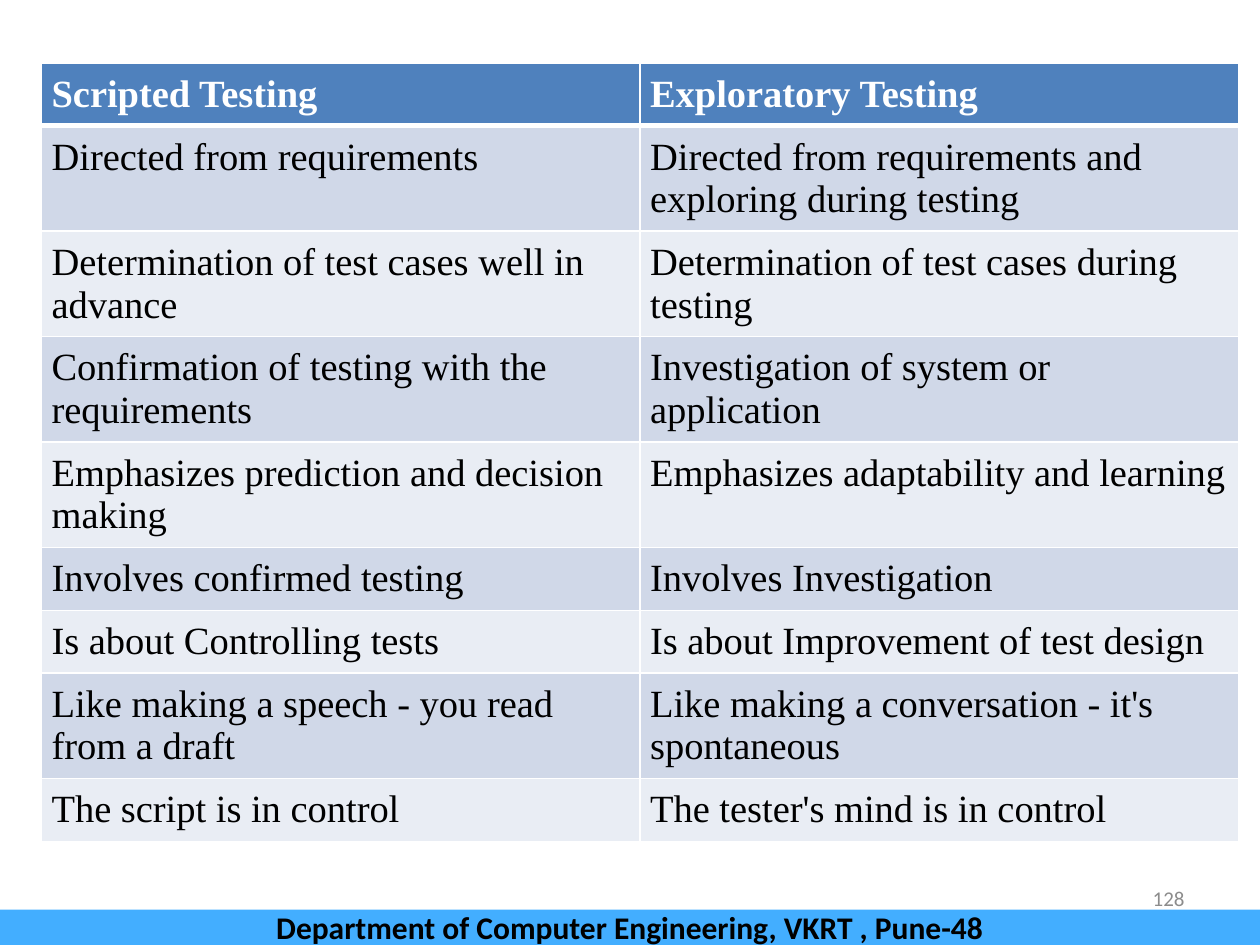
from pptx import Presentation
from pptx.dml.color import RGBColor
from pptx.enum import shapes, text
from pptx.oxml import parse_xml
from pptx.oxml.ns import nsdecls
from pptx.util import Inches, Pt

theme = {
    "head": "4F81BD", "odd": "D0D8E8", "even": "E9EDF4", "bar": "43AEFF",
    "white": "FFFFFF", "black": "000000", "gray": "8C8C8C",
    "serif": "Times New Roman", "sans": "Calibri",
    "cell": 22, "foot": 18, "page": 12,
}


def write(frame, words, font, size, color, bold=False):
    """Put one styled paragraph in a text frame and return it."""
    frame.text = words
    frame.word_wrap = True
    para = frame.paragraphs[0]
    face = para.runs[0].font
    face.name, face.size, face.bold = theme[font], Pt(theme[size]), bold
    face.color.rgb = RGBColor.from_string(theme[color])
    return para


def edge(cell, low):
    """Draw white cell borders, the bottom one with its own width."""
    props = cell._tc.get_or_add_tcPr()
    for spot, (side, width) in enumerate(zip("LRTB", (1, 1, 1, low))):
        props.insert(spot, parse_xml(
            f'<a:ln{side} {nsdecls("a")} w="{Pt(width)}"><a:solidFill>'
            f'<a:srgbClr val="{theme["white"]}"/></a:solidFill></a:ln{side}>'))


rows = [
    ("Scripted Testing", "Exploratory Testing"),
    ("Directed from requirements",
     "Directed from requirements and exploring during testing"),
    ("Determination of test cases well in advance",
     "Determination of test cases during testing"),
    ("Confirmation of testing with the requirements",
     "Investigation of system or application"),
    ("Emphasizes prediction and decision making",
     "Emphasizes adaptability and learning"),
    ("Involves confirmed testing", "Involves Investigation"),
    ("Is about Controlling tests", "Is about Improvement of test design"),
    ("Like making a speech - you read from a draft",
     "Like making a conversation - it's spontaneous"),
    ("The script is in control", "The tester's mind is in control"),
]

deck = Presentation()
deck.slide_width, deck.slide_height = Inches(10), Inches(7.5)
slide = deck.slides.add_slide(deck.slide_layouts[6])

# Comparison table
grid = slide.shapes.add_table(
    len(rows), 2, Inches(0.33), Inches(0.5),
    Inches(9.5), Inches(0.41 * len(rows))).table
for r, row in enumerate(rows):
    head = r == 0
    tone = "head" if head else "odd" if r % 2 else "even"
    for c, words in enumerate(row):
        cell = grid.cell(r, c)
        cell.margin_left = cell.margin_right = Inches(0.08)
        cell.margin_top = cell.margin_bottom = Inches(0.08)
        cell.fill.solid()
        cell.fill.fore_color.rgb = RGBColor.from_string(theme[tone])
        edge(cell, 3 if head else 1)
        write(cell.text_frame, words, "serif", "cell",
              "white" if head else "black", head)

# Page number
page = slide.shapes.add_textbox(
    Inches(7.17), Inches(6.95), Inches(2.33), Inches(0.4)).text_frame
para = write(page, "128", "sans", "page", "gray")
para.alignment = text.PP_ALIGN.RIGHT
para.line_spacing = Pt(10.7)
page.vertical_anchor = text.MSO_ANCHOR.MIDDLE

# Footer bar
bar = slide.shapes.add_shape(
    shapes.MSO_SHAPE.RECTANGLE, 0, Inches(7.22), Inches(10), Inches(0.28))
bar.shadow.inherit = False
bar.fill.solid()
bar.fill.fore_color.rgb = RGBColor.from_string(theme["bar"])
bar.line.fill.background()
para = write(bar.text_frame, "Department of Computer Engineering, VKRT , Pune-48",
             "sans", "foot", "black", True)
para.alignment = text.PP_ALIGN.CENTER
bar.text_frame.vertical_anchor = text.MSO_ANCHOR.MIDDLE

deck.save("out.pptx")
